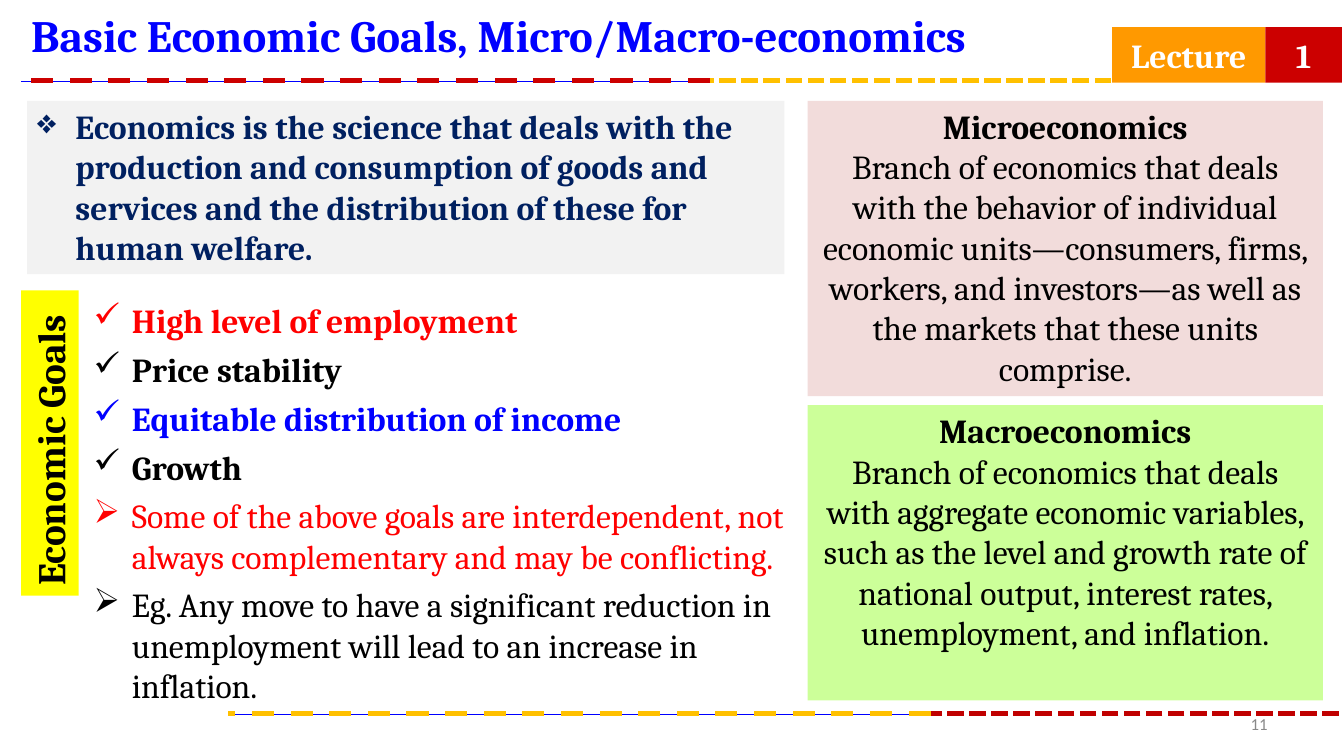
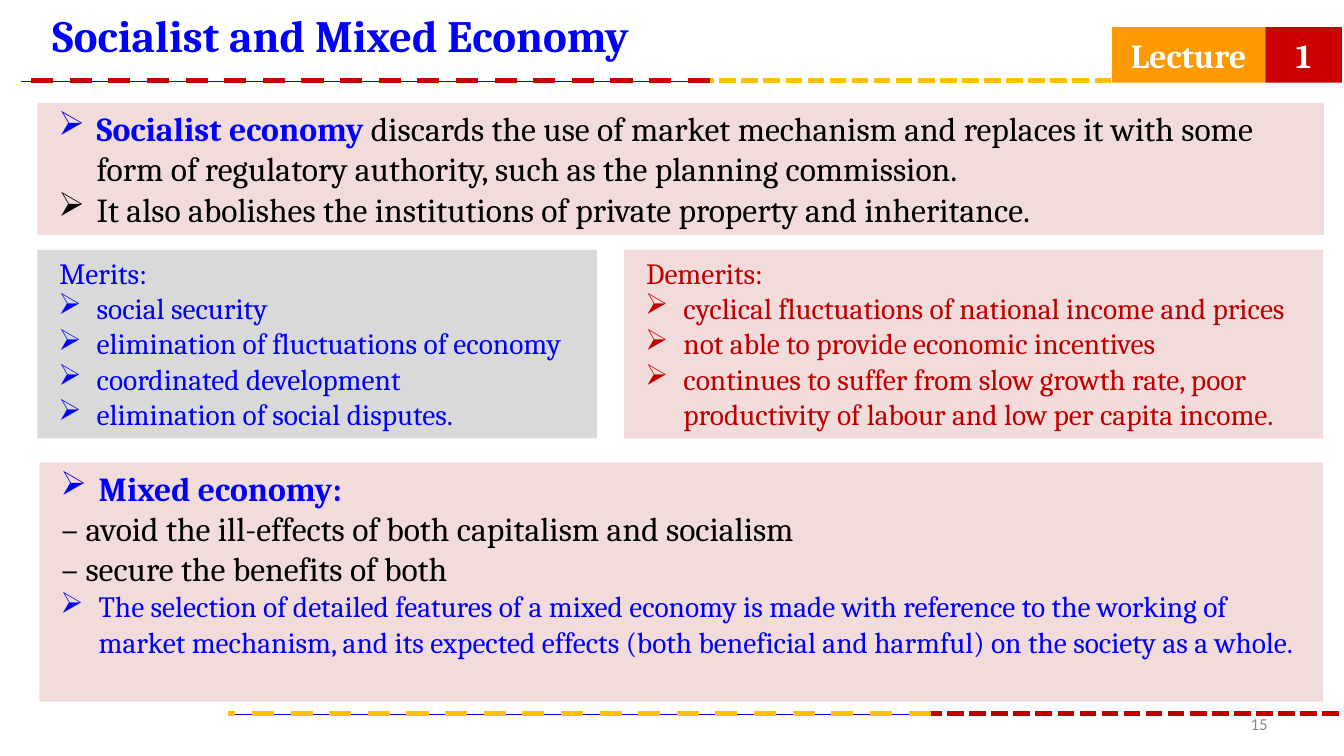
from dataclasses import dataclass

import pptx
import pptx.dml.color
import pptx.enum.dml
import pptx.enum.shapes
import pptx.enum.text
import pptx.oxml
import pptx.oxml.ns
import pptx.util

PX = 9144
BLUE, BLACK, RED, WHITE = "0000FF", "000000", "FF0000", "FFFFFF"
NAVY, GOLD, BRICK, CRIMSON = "002060", "FFC000", "C00000", "CC0000"
PINK, ARROW, TICK = "F2DCDB", "➢", "✓"
ALIGN = pptx.enum.text.PP_ALIGN
ANCHOR = pptx.enum.text.MSO_ANCHOR
DASH = pptx.enum.dml.MSO_LINE
KIND = pptx.enum.shapes


@dataclass
class Run:
    text: str
    color: str = BLACK
    size: int = 24
    bold: bool = False
    face: str = "Cambria"


@dataclass
class Para:
    runs: list[Run]
    mark: str = ""
    left: int = 0
    hang: int = 0
    space: int = 0
    align: ALIGN = ALIGN.LEFT


@dataclass
class Box:
    frame: tuple[int, int, int, int]
    paras: list[Para]
    fill: str = ""
    turn: int = 0
    wrap: bool = True
    anchor: ANCHOR = ANCHOR.TOP


@dataclass
class Rule:
    start: int
    end: int
    top: int
    color: str
    dash: DASH
    width: float = 3.94


RULES = [
    Rule(704, 21, 80, BLUE, DASH.SOLID, 0.1),
    Rule(704, 21, 80, CRIMSON, DASH.DASH),
    Rule(1102, 704, 80, GOLD, DASH.SQUARE_DOT),
    Rule(923, 226, 708, BLUE, DASH.SOLID, 0.1),
    Rule(923, 226, 708, GOLD, DASH.DASH),
    Rule(1328, 923, 708, BRICK, DASH.SQUARE_DOT),
]


def px(*sizes: int) -> list[pptx.util.Emu]:
    return [pptx.util.Emu(size * PX) for size in sizes]


def color(value: str) -> pptx.dml.color.RGBColor:
    return pptx.dml.color.RGBColor.from_string(value)


def put(target, values: dict) -> None:
    for name, value in values.items():
        setattr(target, name, value)


def place(shape, frame: tuple[int, int, int, int]) -> None:
    put(shape, dict(zip(("left", "top", "width", "height"), px(*frame))))


def write(frame, paras: list[Para]) -> None:
    for index, para in enumerate(paras):
        line = frame.add_paragraph() if index else frame.paragraphs[0]
        put(line, {"alignment": para.align,
                   "space_before": pptx.util.Pt(para.space)})
        props = line._p.get_or_add_pPr()
        props.set("marL", str(para.left * PX))
        props.set("indent", str(-para.hang * PX))
        if para.mark:
            bullet = pptx.oxml.parse_xml(
                f'<a:buChar {pptx.oxml.ns.nsdecls("a")} char="{para.mark}"/>')
            props.append(bullet)
        for run in para.runs:
            part = line.add_run()
            part.text = run.text
            put(part.font, {"name": run.face, "bold": run.bold,
                            "size": pptx.util.Pt(run.size)})
            part.font.color.rgb = color(run.color)


def draw_box(slide, box: Box) -> None:
    if box.fill:
        shape = slide.shapes.add_shape(
            KIND.MSO_SHAPE.RECTANGLE, *px(*box.frame))
        shape.shadow.inherit = False
        shape.fill.solid()
        shape.fill.fore_color.rgb = color(box.fill)
        shape.line.fill.background()
    else:
        shape = slide.shapes.add_textbox(*px(*box.frame))
    shape.rotation = box.turn
    put(shape.text_frame,
        {"word_wrap": box.wrap, "vertical_anchor": box.anchor})
    write(shape.text_frame, box.paras)


def draw_rule(slide, rule: Rule) -> None:
    line = slide.shapes.add_connector(
        KIND.MSO_CONNECTOR.STRAIGHT,
        *px(rule.start, rule.top, rule.end, rule.top))
    put(line.line, {"width": pptx.util.Pt(rule.width),
                    "dash_style": rule.dash})
    line.line.color.rgb = color(rule.color)
    line._element.spPr.append(pptx.oxml.parse_xml(
        f'<a:effectLst {pptx.oxml.ns.nsdecls("a")}/>'))


def tag(left: int, width: int, fill: str, text: str) -> Box:
    return Box((left, 27, width, 55),
               [Para([Run(text, WHITE, bold=True)], align=ALIGN.CENTER)],
               fill, anchor=ANCHOR.MIDDLE)


def build(deck, title: str, left: int, page: int, boxes: list[Box]) -> None:
    slide = deck.slides.add_slide(deck.slide_layouts[5])
    head = slide.shapes.title
    place(head, (left, 3, 1003, 64))
    put(head.text_frame, {"word_wrap": True, "vertical_anchor": ANCHOR.TOP})
    write(head.text_frame, [Para([Run(title, BLUE, 32, True)])])
    for rule in RULES:
        draw_rule(slide, rule)
    number = Para([Run(str(page), "898989", 12, face="Calibri")],
                  align=ALIGN.RIGHT)
    shared = [
        tag(1103, 152, "FF9900", "Lecture"),
        tag(1255, 76, CRIMSON, "1"),
        Box((956, 702, 311, 33), [number], anchor=ANCHOR.MIDDLE),
    ]
    for box in shared + boxes:
        draw_box(slide, box)


def goal(index: int, text: str, shade: str, mark: str) -> Para:
    return Para([Run(text, shade, bold=mark == TICK)], mark, 38, 38,
                6 if index else 0)


def branch(top: int, fill: str, name: str, text: str) -> Box:
    return Box((801, top, 511, 293),
               [Para([Run(name, bold=True)], align=ALIGN.CENTER),
                Para([Run(text)], align=ALIGN.CENTER)], fill)


def point(*runs: Run) -> Para:
    return Para(list(runs), ARROW, 49, 38)


def plain(run: Run) -> Para:
    return Para([run], left=12)


def traits(left: int, width: int, fill: str, shade: str, head: str,
           items: list[str]) -> Box:
    return Box((left, 248, width, 187),
               [plain(Run(head, shade, 21))]
               + [point(Run(item, shade, 21)) for item in items], fill)


def main() -> None:
    deck = pptx.Presentation()
    put(deck, dict(zip(("slide_width", "slide_height"), px(1333, 750))))

    goals = [
        ("High level of employment", RED, TICK),
        ("Price stability", BLACK, TICK),
        ("Equitable distribution of income", BLUE, TICK),
        ("Growth", BLACK, TICK),
        ("Some of the above goals are interdependent, not always "
         "complementary and may be conflicting.", RED, ARROW),
        ("Eg. Any move to have a significant reduction in unemployment "
         "will lead to an increase in inflation.", BLACK, ARROW),
    ]
    build(deck, "Basic Economic Goals, Micro/Macro-economics", 21, 11, [
        Box((83, 293, 709, 415),
            [goal(index, *item) for index, item in enumerate(goals)]),
        Box((27, 100, 751, 172), [Para([Run(
            "Economics is the science that deals with the production and "
            "consumption of goods and services and the distribution of "
            "these for human welfare.", NAVY, bold=True)], "❖", 38, 38)],
            "F2F2F2"),
        Box((-102, 411, 303, 57),
            [Para([Run("Economic Goals", size=28, bold=True)])],
            "FFFF00", 270, False),
        branch(100, PINK, "Microeconomics",
               "Branch of economics that deals with the behavior of "
               "individual economic units—consumers, firms, workers, and "
               "investors—as well as the markets that these units comprise."),
        branch(402, "CCFF99", "Macroeconomics",
               "Branch of economics that deals with aggregate economic "
               "variables, such as the level and growth rate of national "
               "output, interest rates, unemployment, and inflation."),
    ])

    build(deck, "Socialist and Mixed Economy", 42, 15, [
        traits(37, 555, "D9D9D9", BLUE, "Merits:", [
            "social security",
            "elimination of fluctuations of economy",
            "coordinated development",
            "elimination of social disputes.",
        ]),
        Box((37, 102, 1276, 131), [
            point(Run("Socialist economy ", BLUE, bold=True),
                  Run("discards the use of market mechanism and replaces it "
                      "with some form of regulatory authority, such as the "
                      "planning commission.")),
            point(Run("It also abolishes the institutions of private "
                      "property and inheritance.")),
        ], PINK),
        traits(619, 693, PINK, BRICK, "Demerits:", [
            "cyclical fluctuations of national income and prices",
            "not able to provide economic incentives",
            "continues to suffer from slow growth rate, poor productivity "
            "of labour and low per capita income.",
        ]),
        Box((39, 459, 1273, 237), [
            point(Run("Mixed economy:", BLUE, bold=True)),
            plain(Run("– avoid the ill-effects of both capitalism and "
                      "socialism")),
            plain(Run("– secure the benefits of both")),
            point(Run("The selection of detailed features of a mixed economy "
                      "is made with reference to the working of market "
                      "mechanism, and its expected effects (both beneficial "
                      "and harmful) on the society as a whole.", BLUE, 21)),
        ], PINK),
    ])
    deck.save("out.pptx")


if __name__ == "__main__":
    main()
